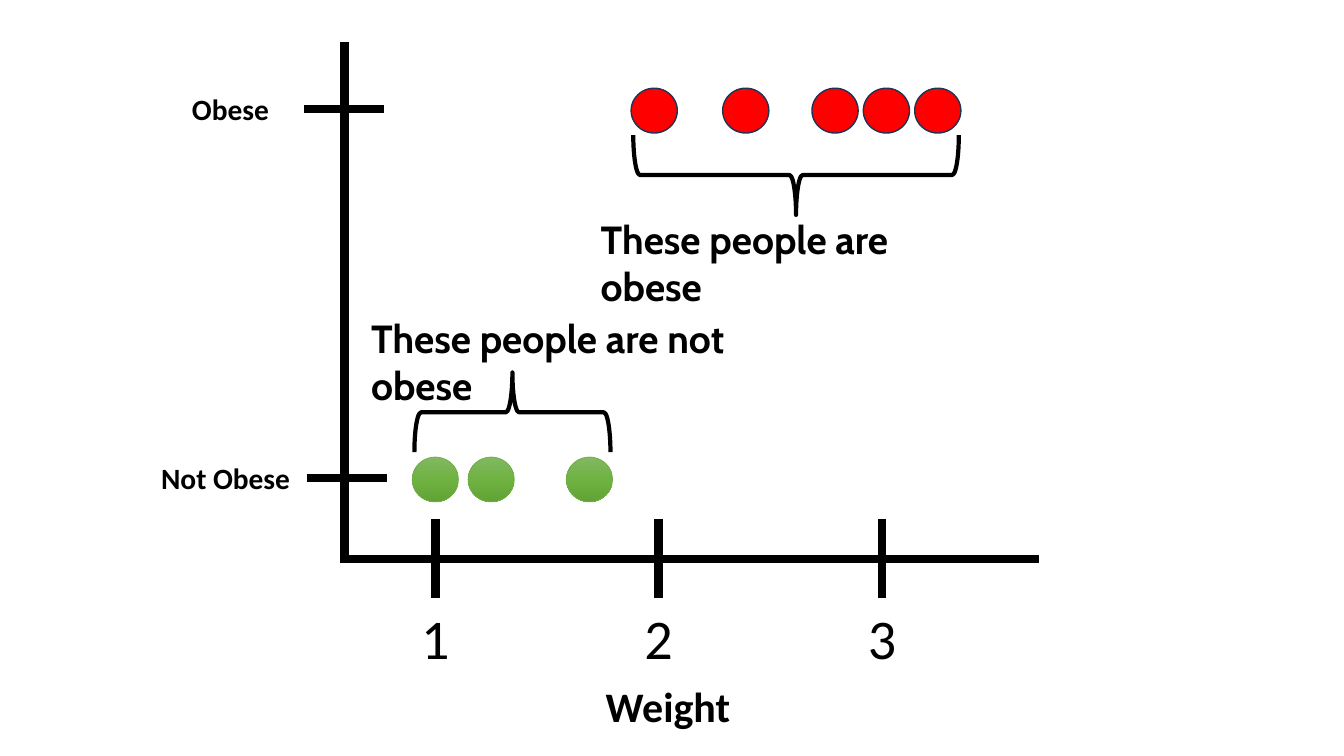
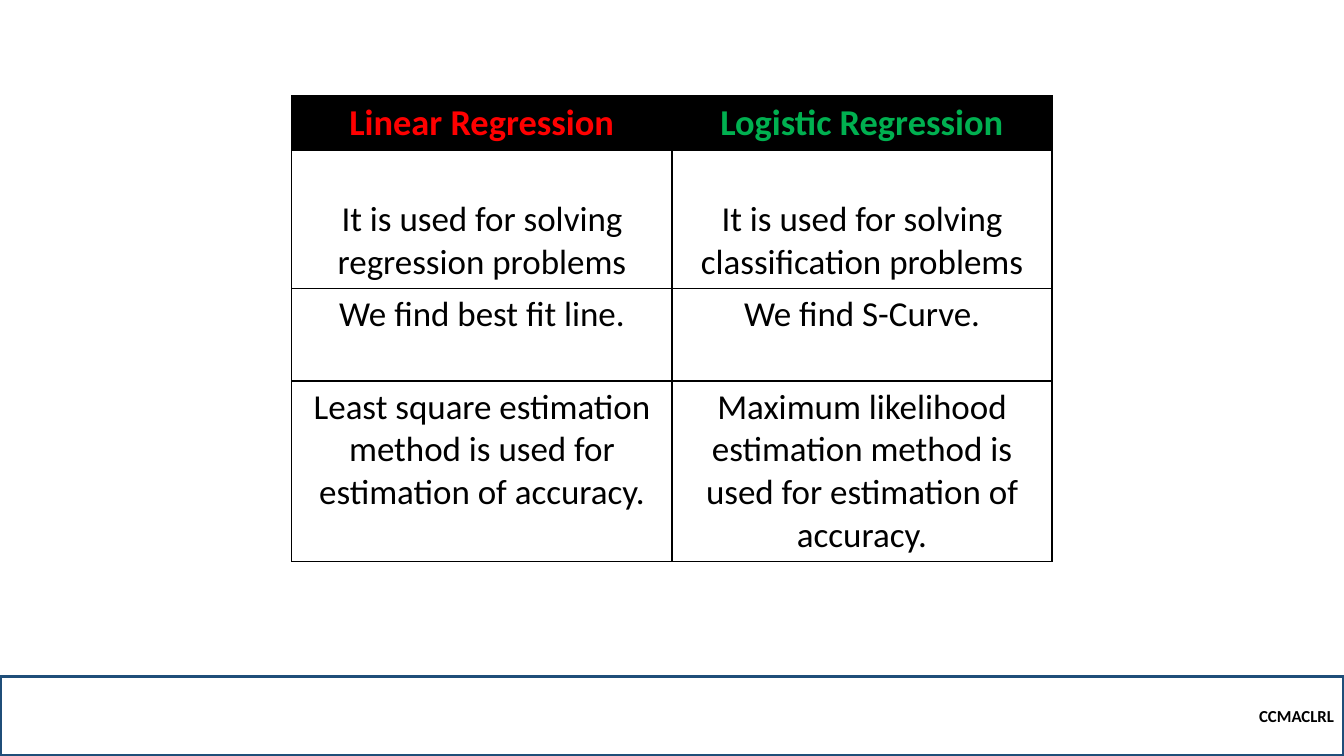
"""Build two slides: a weight plot and a comparison of two regressions."""
import copy
import dataclasses

import lxml.etree
import pptx
import pptx.dml.color
import pptx.enum.shapes
import pptx.enum.text
import pptx.oxml.ns
import pptx.util

Pt = pptx.util.Pt
RGB = pptx.dml.color.RGBColor.from_string
qn = pptx.oxml.ns.qn
SHAPE = pptx.enum.shapes.MSO_SHAPE
ALIGN = pptx.enum.text.PP_ALIGN
ANCHOR = pptx.enum.text.MSO_ANCHOR


@dataclasses.dataclass(frozen=True)
class Theme:
    """Colours, fonts, type sizes and line widths of the deck."""

    ink: str = "000000"
    red: str = "FF0000"
    red_edge: str = "1E3256"
    green: tuple = ("81B861", "6FB242", "62A336")
    green_edge: str = "70AD47"
    logistic: str = "00B050"
    footer_edge: str = "1F4E79"
    body_font: str = "Calibri"
    caption_font: str = "Cabin"
    number: int = 40
    axis_title: int = 30
    caption: int = 28
    header: int = 26
    cell: int = 25
    level: int = 21
    footer: int = 12
    axis_line: float = 6
    brace_line: float = 3


THEME = Theme()


def write(frame, text, size, color=THEME.ink, font=THEME.body_font, bold=True, align=ALIGN.LEFT):
    """Put formatted text into a text frame."""
    frame.word_wrap = True
    paragraph = frame.paragraphs[0]
    paragraph.alignment = align
    run = paragraph.add_run()
    run.text = text
    run.font.size, run.font.name, run.font.bold = Pt(size), font, bold
    run.font.color.rgb = RGB(color)


def add_label(slide, text, box, size, **style):
    """Add a text box with the given box in points."""
    label = slide.shapes.add_textbox(*map(Pt, box))
    write(label.text_frame, text, size, **style)


def add_outline(slide, kind, box, color, width):
    """Add an unfilled shape with a coloured outline."""
    outline = slide.shapes.add_shape(kind, *map(Pt, box))
    outline.shadow.inherit = False
    outline.fill.background()
    outline.line.color.rgb = RGB(color)
    outline.line.width = Pt(width)
    return outline


def add_stroke(slide, x1, y1, x2, y2):
    """Add a thick axis line without shadow."""
    straight = pptx.enum.shapes.MSO_CONNECTOR.STRAIGHT
    stroke = slide.shapes.add_connector(straight, Pt(x1), Pt(y1), Pt(x2), Pt(y2))
    stroke.line.color.rgb = RGB(THEME.ink)
    stroke.line.width = Pt(THEME.axis_line)
    lxml.etree.SubElement(stroke.element.spPr, qn("a:effectLst"))


def shade_green(dot):
    """Fill a dot with the vertical green gradient."""
    dot.fill.gradient()
    stops = dot.element.spPr.find(qn("a:gradFill")).find(qn("a:gsLst"))
    stops.insert(1, copy.deepcopy(stops[0]))
    for stop, position, color in zip(dot.fill.gradient_stops, (0, 0.5, 1), THEME.green):
        stop.position = position
        stop.color.rgb = RGB(color)
    dot.fill.gradient_angle = 270


def add_axes(slide, left, top, width, height, weight_x):
    """Draw both axes with the weight ticks and their title."""
    bottom = top + height
    add_stroke(slide, left, bottom + 3, left, top)
    add_stroke(slide, left - 2, bottom, left + width, bottom)
    for weight in (1, 2, 3):
        x = weight_x(weight)
        add_stroke(slide, x, bottom - 29, x, bottom + 28)
        add_label(slide, str(weight), (x - 18, bottom + 28, 36, 55), THEME.number,
                  bold=False, align=ALIGN.CENTER)
    add_label(slide, "Weight", (left + 179.5, bottom + 83, 109, 44), THEME.axis_title)


def add_group(slide, weights, weight_x, y, obese):
    """Draw one row of people as dots with a brace on the inner side."""
    for weight in weights:
        box = (weight_x(weight) - 16.5, y - 15, 33, 32)
        edge, line = (THEME.red_edge, 1) if obese else (THEME.green_edge, 0.5)
        dot = add_outline(slide, SHAPE.OVAL, box, edge, line)
        if obese:
            dot.fill.solid()
            dot.fill.fore_color.rgb = RGB(THEME.red)
        else:
            shade_green(dot)
    first, last = weight_x(weights[0]), weight_x(weights[-1])
    length, depth = last - first + 30, 57
    center_y = y + (47 if obese else -47)
    box = ((first + last - depth) / 2, center_y - length / 2, depth, length)
    brace = add_outline(slide, SHAPE.RIGHT_BRACE, box, THEME.ink, THEME.brace_line)
    brace.rotation = 90 if obese else 270


def add_weight_plot(slide, left, top, width, height):
    """Draw the obesity plot in its box."""
    def weight_x(weight):
        """Return the place of a weight on the axis."""
        return left + 65 + (weight - 1) * 159.5

    add_axes(slide, left, top, width, height, weight_x)
    levels = (
        ("Not Obese", 311.5, 2, (-138, 109), (1, 1.25, 1.69), False,
         "These people are not obese", (12, 191, 337.5)),
        ("Obese", 48, 0, (-116, 74), (1.98, 2.39, 2.79, 3.02, 3.25), True,
         "These people are obese", (176, 120, 292)),
    )
    for name, drop, shift, (name_x, name_width), weights, obese, caption, place in levels:
        y = top + drop
        add_stroke(slide, left + shift - 28.5, y, left + shift + 28.5, y)
        add_label(slide, name, (left + name_x, y - 16.5, name_width, 32), THEME.level)
        caption_x, caption_y, caption_width = place
        add_label(slide, caption, (left + caption_x, top + caption_y, caption_width, 41),
                  THEME.caption, font=THEME.caption_font)
        add_group(slide, weights, weight_x, y, obese)


def border(cell, width):
    """Draw black borders on all sides of a cell."""
    properties = cell._tc.get_or_add_tcPr()
    for order, side in enumerate(("lnL", "lnR", "lnT", "lnB")):
        edge = lxml.etree.Element(qn(f"a:{side}"), w=str(Pt(width)))
        fill = lxml.etree.SubElement(edge, qn("a:solidFill"))
        lxml.etree.SubElement(fill, qn("a:srgbClr"), val=THEME.ink)
        properties.insert(order, edge)


def add_comparison(slide, left, top, width, row_heights):
    """Draw the table that compares both regressions."""
    rows = (
        ("Linear Regression", "Logistic Regression"),
        ("It is used for solving regression problems",
         "It is used for solving classification problems"),
        ("We find best fit line.", "We find S-Curve."),
        ("Least square estimation method is used for estimation of accuracy.",
         "Maximum likelihood estimation method is used for estimation of accuracy."),
    )
    box = map(Pt, (left, top, width, sum(row_heights)))
    table = slide.shapes.add_table(len(rows), 2, *box).table
    table.horz_banding = False
    for row_index, (texts, row_height) in enumerate(zip(rows, row_heights)):
        table.rows[row_index].height = Pt(row_height)
        for text, cell, color in zip(texts, table.rows[row_index].cells,
                                     (THEME.red, THEME.logistic)):
            header = row_index == 0
            if header:
                cell.fill.solid()
                cell.fill.fore_color.rgb = RGB(THEME.ink)
            else:
                cell.fill.background()
            if row_index == 1:
                cell.margin_top = Pt(34)
            write(cell.text_frame, text, THEME.header if header else THEME.cell,
                  color=color if header else THEME.ink, bold=header, align=ALIGN.CENTER)
            border(cell, 1)


def add_footer(slide, left, top, width, height):
    """Draw the outlined footer band with the course code."""
    band = add_outline(slide, SHAPE.RECTANGLE, (left, top, width, height),
                       THEME.footer_edge, 2.25)
    band.text_frame.vertical_anchor = ANCHOR.MIDDLE
    write(band.text_frame, "CCMACLRL", THEME.footer, align=ALIGN.RIGHT)


def main():
    """Build and save the deck."""
    deck = pptx.Presentation()
    deck.slide_width, deck.slide_height = Pt(960), Pt(540)
    blank = deck.slide_layouts[6]
    add_weight_plot(deck.slides.add_slide(blank), 246, 30, 496, 369.5)
    regressions = deck.slides.add_slide(blank)
    add_footer(regressions, 0, 483, 960, 57)
    add_comparison(regressions, 208.5, 68.5, 543, (39, 98.5, 66, 129))
    deck.save("out.pptx")


if __name__ == "__main__":
    main()
